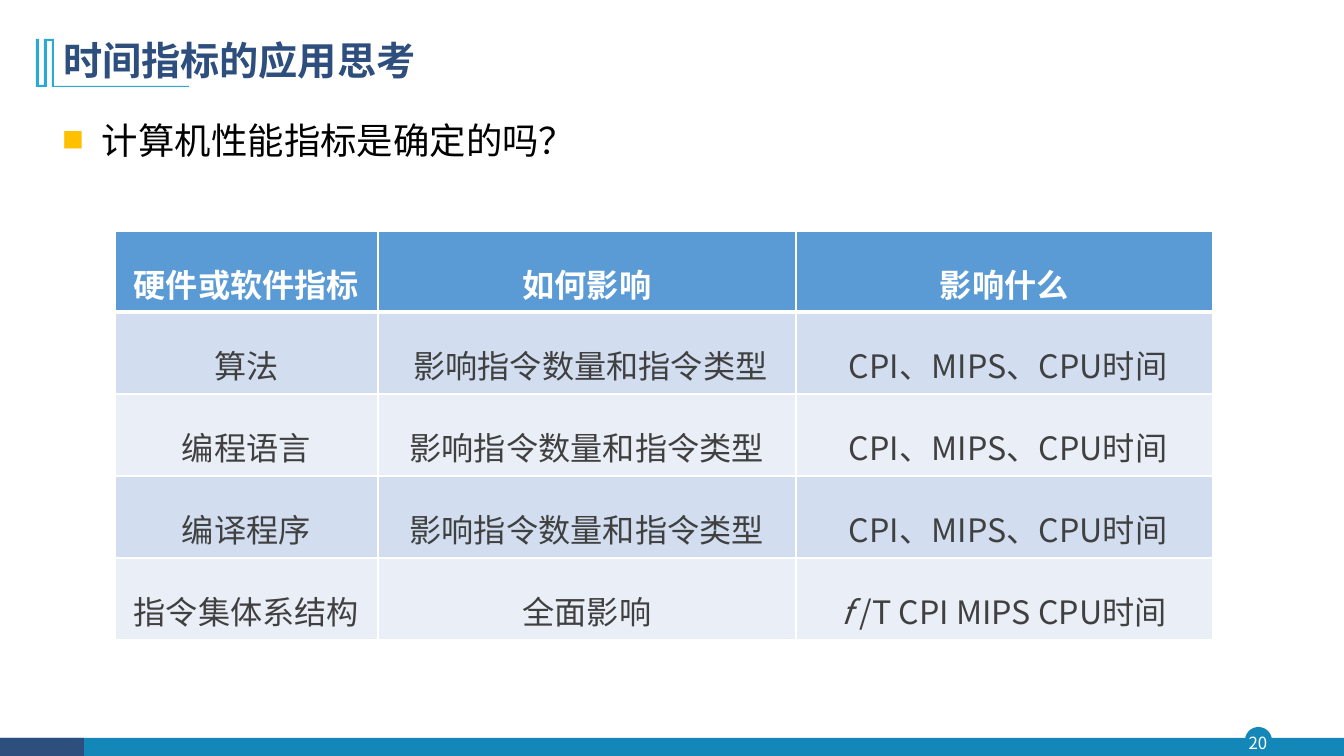
"""Build the slide on what affects computer performance metrics."""
from lxml.etree import SubElement
from pptx import Presentation
from pptx.dml.color import RGBColor
from pptx.enum.shapes import MSO_SHAPE
from pptx.enum.text import MSO_ANCHOR, MSO_AUTO_SIZE, PP_ALIGN
from pptx.oxml.ns import qn
from pptx.util import Pt

PX = 914400 / 100.8
FONT = "Noto Sans CJK SC"
NAVY = RGBColor(0x2E, 0x4E, 0x7E)
TEAL = RGBColor(0x13, 0x87, 0xB7)
SKY = RGBColor(0x28, 0xA9, 0xD6)
AMBER = RGBColor(0xFF, 0xC0, 0x00)
HEADER_BLUE = RGBColor(0x5B, 0x9B, 0xD5)
BANDS = (RGBColor(0xD2, 0xDE, 0xEF), RGBColor(0xEA, 0xEF, 0xF7))
WHITE = RGBColor(0xFF, 0xFF, 0xFF)
BLACK = RGBColor(0, 0, 0)
GRAY = RGBColor(0x40, 0x40, 0x40)

TITLE = "时间指标的应用思考"
QUESTION = "计算机性能指标是确定的吗？"
PAGE_NUMBER = "20"
EFFECT = "影响指令数量和指令类型"
METRICS = " CPI、MIPS、CPU时间"
FACTORS = [
    ("硬件或软件指标", "如何影响", "影响什么"),
    ("算法", " " + EFFECT, METRICS),
    ("编程语言", EFFECT, METRICS),
    ("编译程序", EFFECT, METRICS),
    ("指令集体系结构", "全面影响", ("f", " /T CPI MIPS CPU时间")),
]
COLUMN_WIDTHS = (263, 418, 417)
ROW_HEIGHTS = (81, 82, 82, 82, 82)

FOOTER = [
    (MSO_SHAPE.OVAL, (1245, 727, 27, 27), TEAL),
    (MSO_SHAPE.RECTANGLE, (0, 738, 1344, 18), TEAL),
    (MSO_SHAPE.RECTANGLE, (0, 738, 84, 18), NAVY),
]
TITLE_MARK = [
    (54, 39), (54, 86), (189, 86), (189, 87), (52, 87), (52, 41), (47, 41),
    (47, 87), (36, 87), (36, 39), (39, 39), (39, 85), (44, 85), (44, 39),
]


def px(*lengths):
    return [round(length * PX) for length in lengths]


def apply(target, values):
    for name, value in values.items():
        setattr(target, name, value)


def write(paragraph, text, size, color, layout, **style):
    apply(paragraph, layout)
    run = paragraph.add_run()
    run.text = text
    apply(run.font, {"name": FONT, "size": Pt(size), **style})
    run.font.color.rgb = color
    SubElement(run._r.get_or_add_rPr(), qn("a:ea"), typeface=FONT)


def paint(shape, color):
    shape.shadow.inherit = False
    shape.fill.solid()
    shape.fill.fore_color.rgb = color
    shape.line.fill.background()


def add_borders(cell, widths):
    properties = cell._tc.get_or_add_tcPr()
    for side, width in widths.items():
        line = SubElement(properties, qn(f"a:ln{side}"), w=str(Pt(width)))
        fill = SubElement(line, qn("a:solidFill"))
        SubElement(fill, qn("a:srgbClr"), val=str(WHITE))


def add_decoration(slide):
    for preset, box, color in FOOTER:
        paint(slide.shapes.add_shape(preset, *px(*box)), color)
    outline = slide.shapes.build_freeform(*TITLE_MARK[0], scale=PX)
    outline.add_line_segments(TITLE_MARK[1:], close=True)
    paint(outline.convert_to_shape(), SKY)

    number = slide.shapes.add_textbox(*px(1242, 727, 32, 31)).text_frame
    apply(number, {"word_wrap": True, "vertical_anchor": MSO_ANCHOR.MIDDLE,
                   "margin_left": 0, "margin_right": 0,
                   "margin_top": 0, "margin_bottom": 0})
    write(number.paragraphs[0], PAGE_NUMBER, 12, WHITE,
          {"alignment": PP_ALIGN.CENTER})


def add_title(slide):
    title = slide.shapes.title
    apply(title, dict(zip(("left", "top", "width", "height"),
                          px(53, 28, 1159, 69))))
    apply(title.text_frame, {"vertical_anchor": MSO_ANCHOR.MIDDLE,
                             "word_wrap": True,
                             "auto_size": MSO_AUTO_SIZE.NONE})
    write(title.text_frame.paragraphs[0], TITLE, 28, NAVY,
          {"alignment": PP_ALIGN.LEFT, "line_spacing": 0.9}, bold=True)


def add_question(slide):
    body = slide.shapes.add_textbox(*px(53, 104, 1159, 621)).text_frame
    body.word_wrap = True
    question = body.paragraphs[0]
    properties = question._p.get_or_add_pPr()
    indent = px(39)[0]
    properties.set("marL", str(indent))
    properties.set("indent", str(-indent))
    bullet_color = SubElement(properties, qn("a:buClr"))
    SubElement(bullet_color, qn("a:srgbClr"), val=str(AMBER))
    SubElement(properties, qn("a:buSzPct"), val="60000")
    SubElement(properties, qn("a:buFont"), typeface=FONT)
    SubElement(properties, qn("a:buChar"), char="■")
    write(question, QUESTION, 26, BLACK, {"line_spacing": 1.2})


def add_factors(slide):
    box = px(115, 231, sum(COLUMN_WIDTHS), sum(ROW_HEIGHTS))
    table = slide.shapes.add_table(
        len(FACTORS), len(COLUMN_WIDTHS), *box).table
    for column, width in zip(table.columns, px(*COLUMN_WIDTHS)):
        column.width = width
    for row, height in zip(table.rows, px(*ROW_HEIGHTS)):
        row.height = height
    side, edge = px(12, 6)
    margins = {"margin_left": side, "margin_right": side,
               "margin_top": edge, "margin_bottom": edge}
    layout = {"alignment": PP_ALIGN.CENTER, "line_spacing": 1.5}

    for r, factor in enumerate(FACTORS):
        header = r == 0
        for c, content in enumerate(factor):
            cell = table.cell(r, c)
            apply(cell, margins)
            add_borders(cell, {"L": 1, "R": 1, "T": 3 if r == 1 else 1,
                               "B": 3 if header else 1})
            cell.fill.solid()
            cell.fill.fore_color.rgb = HEADER_BLUE if header else BANDS[(r - 1) % 2]
            parts = (content,) if isinstance(content, str) else content
            for part in parts:
                write(cell.text_frame.paragraphs[0], part, 23,
                      WHITE if header else GRAY, layout,
                      bold=header, italic=part == "f")


def main():
    deck = Presentation()
    deck.slide_width, deck.slide_height = px(1344, 756)
    slide = deck.slides.add_slide(deck.slide_layouts[5])
    add_decoration(slide)
    add_title(slide)
    add_question(slide)
    add_factors(slide)
    deck.save("out.pptx")


if __name__ == "__main__":
    main()
